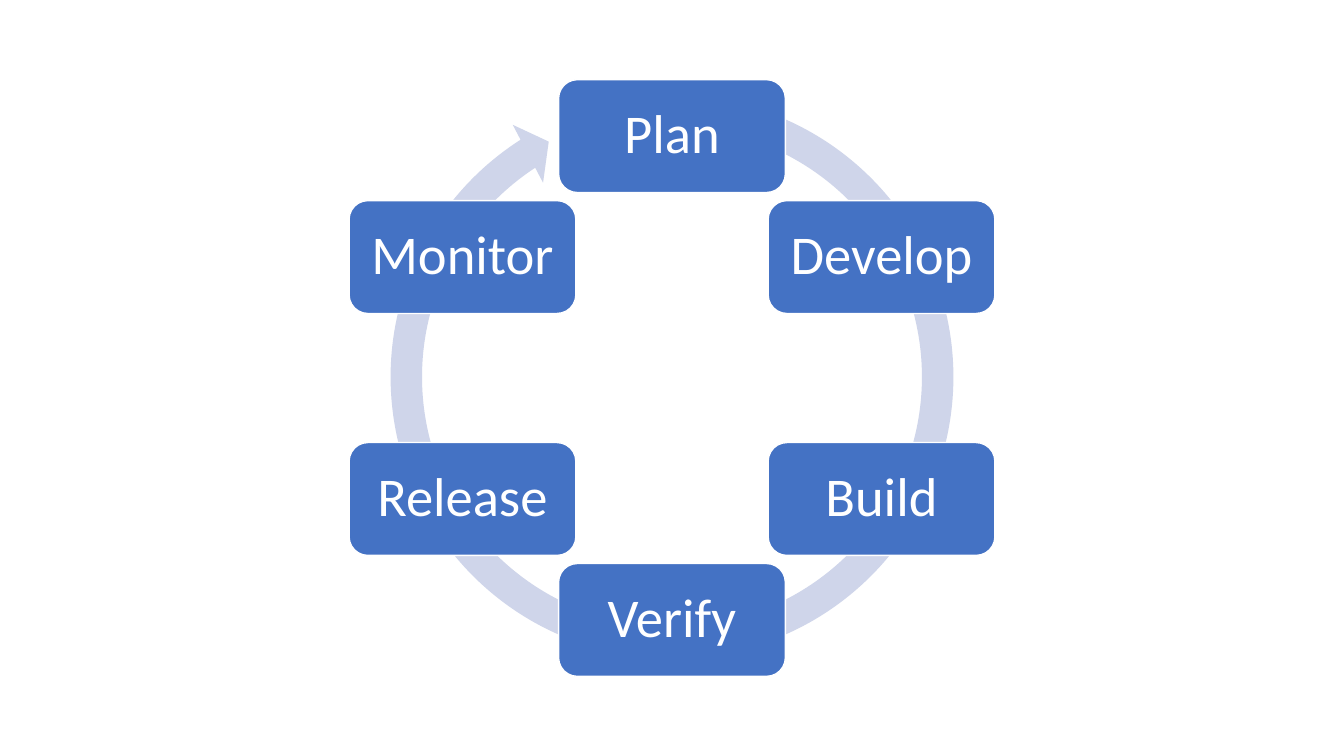
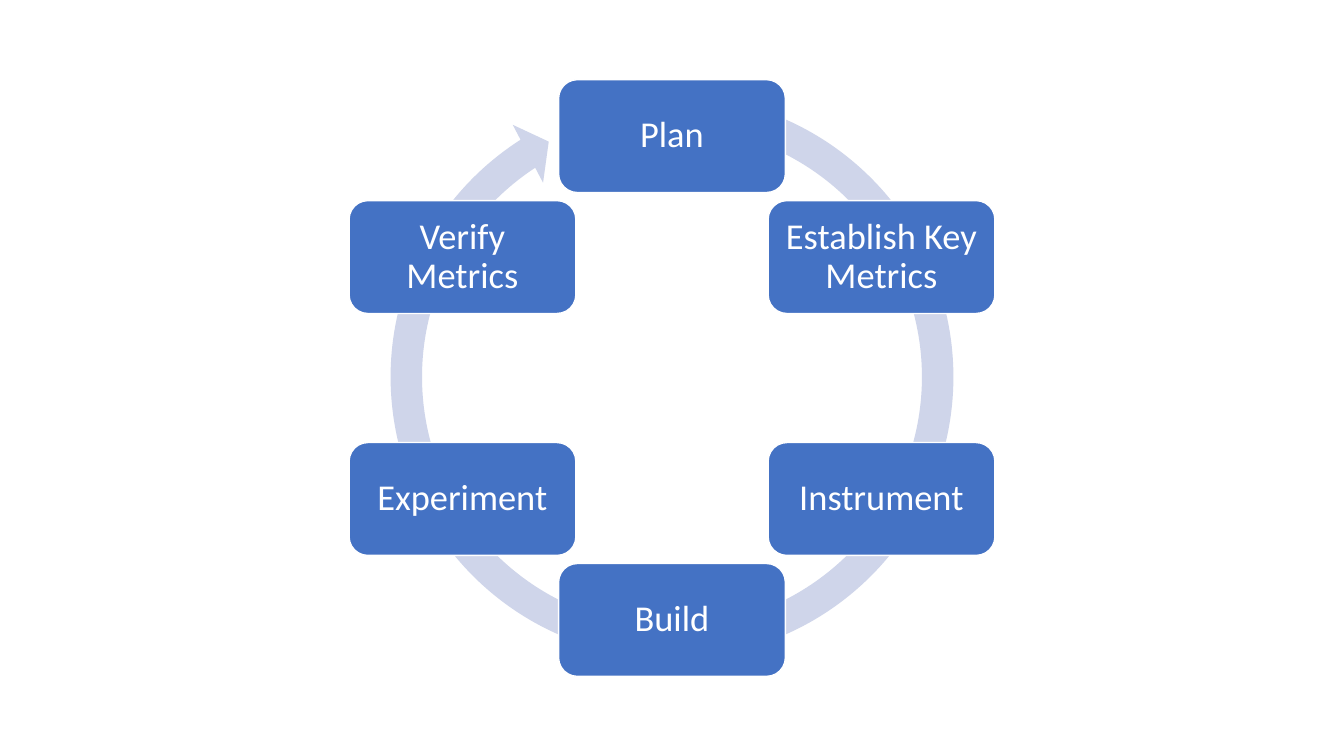
"""Build two six-step cycle diagrams, one per slide."""
import math

import pptx
import pptx.dml.color
import pptx.enum.shapes
import pptx.enum.text
import pptx.util

CYCLES = [
    (39, ["Plan", "Develop", "Build", "Verify", "Release", "Monitor"]),
    (26, ["Plan", "Establish Key Metrics", "Instrument", "Build",
          "Experiment", "Verify Metrics"]),
]
FONT = "Calibri"
BLUE, PALE, WHITE = "4472C4", "CFD5EA", "FFFFFF"
SLIDE_W, SLIDE_H = 13.333, 7.5
CENTER_X, CENTER_Y = SLIDE_W / 2, SLIDE_H / 2
RADIUS = 2.4
BOX_W, BOX_H = 2.25, 1.12
RING = 5.92
RING_ADJUSTMENTS = [0.05274, 3.1263, 142.291, 171.264, 0.05477]
INSET_RATIO = 0.3

Inches = pptx.util.Inches
Pt = pptx.util.Pt
SHAPE = pptx.enum.shapes.MSO_SHAPE


def color(value):
    return pptx.dml.color.RGBColor.from_string(value)


def add_centered(s, kind, x, y, w, h, fill):
    sp = s.shapes.add_shape(kind, Inches(x - w / 2), Inches(y - h / 2),
                            Inches(w), Inches(h))
    sp.shadow.inherit = False
    sp.fill.solid()
    sp.fill.fore_color.rgb = color(fill)
    return sp


def add_ring(s):
    ring = add_centered(s, SHAPE.CIRCULAR_ARROW, CENTER_X, CENTER_Y - 0.01,
                        RING, RING, PALE)
    ring.line.fill.background()
    for i, value in enumerate(RING_ADJUSTMENTS):
        ring.adjustments[i] = value


def add_step(s, text, x, y, size):
    sp = add_centered(s, SHAPE.ROUNDED_RECTANGLE, x, y, BOX_W, BOX_H, BLUE)
    sp.line.color.rgb = color(WHITE)
    sp.line.width = Pt(1)
    tf = sp.text_frame
    tf.word_wrap = True
    tf.vertical_anchor = pptx.enum.text.MSO_ANCHOR.MIDDLE
    inset = Pt(size * INSET_RATIO)
    tf.margin_left = tf.margin_right = inset
    tf.margin_top = tf.margin_bottom = inset
    tf.text = text
    p = tf.paragraphs[0]
    p.alignment = pptx.enum.text.PP_ALIGN.CENTER
    p.line_spacing = 0.9
    r = p.runs[0]
    r.font.name = FONT
    r.font.size = Pt(size)
    r.font.color.rgb = color(WHITE)


def add_cycle(prs, size, steps):
    s = prs.slides.add_slide(prs.slide_layouts.get_by_name("Blank"))
    add_ring(s)
    for i, text in enumerate(steps):
        angle = 2 * math.pi * i / len(steps)
        add_step(s, text, CENTER_X + RADIUS * math.sin(angle),
                 CENTER_Y - RADIUS * math.cos(angle), size)


prs = pptx.Presentation()
prs.slide_width, prs.slide_height = Inches(SLIDE_W), Inches(SLIDE_H)
for size, steps in CYCLES:
    add_cycle(prs, size, steps)
prs.save("out.pptx")
